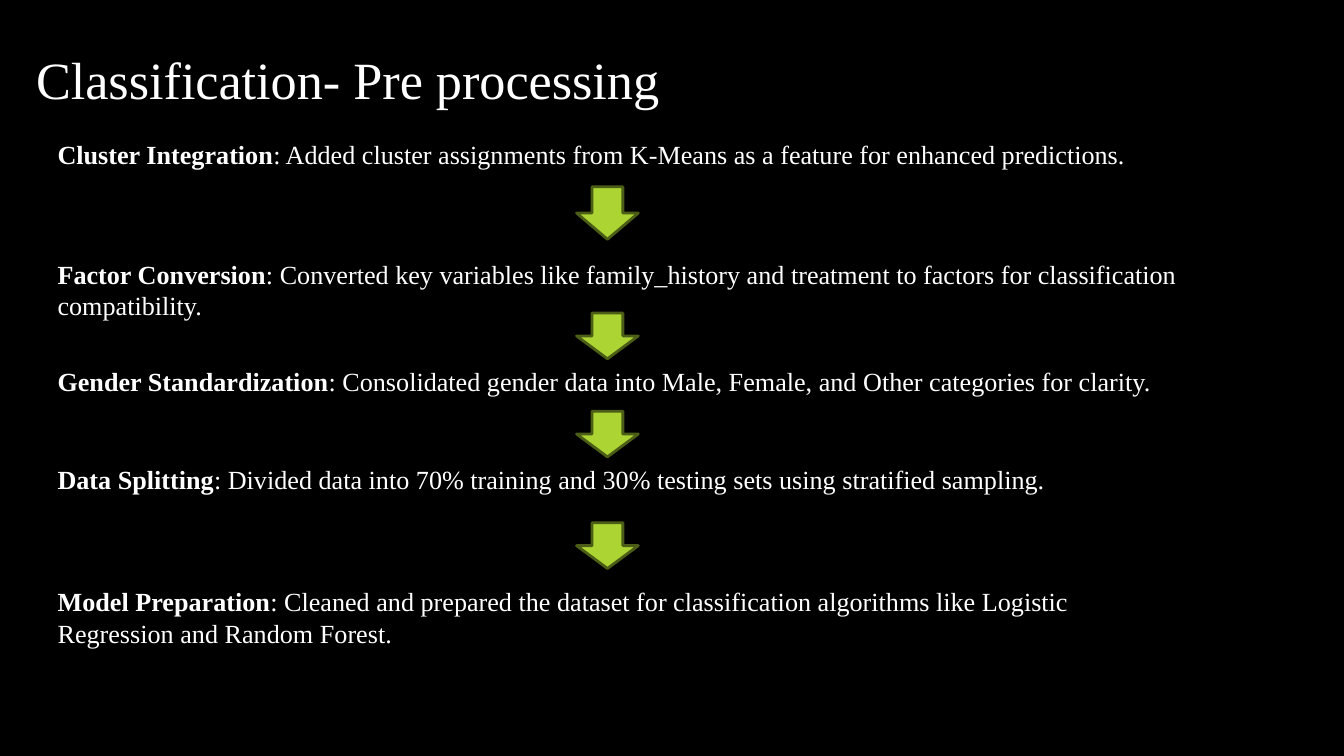
import pptx
import pptx.dml.color
import pptx.enum.shapes
import pptx.enum.text
import pptx.util

COLORS = {"background": "000000", "text": "FFFFFF", "arrow": "ACD433", "outline": "4B5D16"}
FONT = "Times New Roman"
CELL = 0.1  # inches per grid column and row
COLUMNS, ROWS = 100, 56.25
STEP_LEFT = 3.3
ARROW_LEFT, ARROW_WIDTH = 42.9, 4.6

# heading, detail, top row, columns wide, rows high
STEPS = [
    ("Cluster Integration",
     ": Added cluster assignments from K-Means as a feature for enhanced predictions.",
     9.8, 90.8, 6.4),
    ("Factor Conversion",
     ": Converted key variables like family_history and treatment to factors"
     " for classification compatibility.",
     18.7, 90.8, 5.7),
    ("Gender Standardization",
     ": Consolidated gender data into Male, Female, and Other categories for clarity.",
     26.7, 85, 3.4),
    ("Data Splitting",
     ": Divided data into 70% training and 30% testing sets using stratified sampling.",
     34, 85, 3.4),
    ("Model Preparation",
     ": Cleaned and prepared the dataset for classification algorithms like"
     " Logistic Regression and Random Forest.",
     43.1, 82.5, 5.7),
]
# top row, rows high
ARROWS = [(13.9, 3.9), (23.3, 3.4), (30.6, 3.4), (38.9, 3.4)]


def cells(*counts):
    return [pptx.util.Inches(n * CELL) for n in counts]


def color(name):
    return pptx.dml.color.RGBColor.from_string(COLORS[name])


class Deck:
    def __init__(self):
        self.prs = pptx.Presentation()
        self.prs.slide_width, self.prs.slide_height = cells(COLUMNS, ROWS)
        self.slide = None

    def add_slide(self):
        self.slide = self.prs.slides.add_slide(self.prs.slide_layouts[6])
        fill = self.slide.background.fill
        fill.solid()
        fill.fore_color.rgb = color("background")

    def text(self, left, top, width, height, size, plain, bold=""):
        """Add a one-paragraph box, with an optional bold lead-in."""
        sp = self.slide.shapes.add_textbox(*cells(left, top, width, height))
        tf = sp.text_frame
        tf.word_wrap = True
        tf.auto_size = pptx.enum.text.MSO_AUTO_SIZE.SHAPE_TO_FIT_TEXT
        p = tf.paragraphs[0]
        p.font.name = FONT
        p.font.size = pptx.util.Pt(size)
        p.font.color.rgb = color("text")
        if bold:
            r = p.add_run()
            r.text = bold
            r.font.bold = True
        p.add_run().text = plain

    def down_arrow(self, left, top, width, height):
        sp = self.slide.shapes.add_shape(
            pptx.enum.shapes.MSO_SHAPE.DOWN_ARROW, *cells(left, top, width, height))
        sp.shadow.inherit = False
        sp.fill.solid()
        sp.fill.fore_color.rgb = color("arrow")
        sp.line.color.rgb = color("outline")
        sp.line.width = pptx.util.Pt(1.5)


def main():
    deck = Deck()
    deck.add_slide()
    deck.text(1.7, 3, 96.8, 5.7, 28, "Classification- Pre processing")
    for heading, detail, top, width, height in STEPS:
        deck.text(STEP_LEFT, top, width, height, 14, detail, heading)
    for top, height in ARROWS:
        deck.down_arrow(ARROW_LEFT, top, ARROW_WIDTH, height)
    deck.prs.save("out.pptx")


if __name__ == "__main__":
    main()
